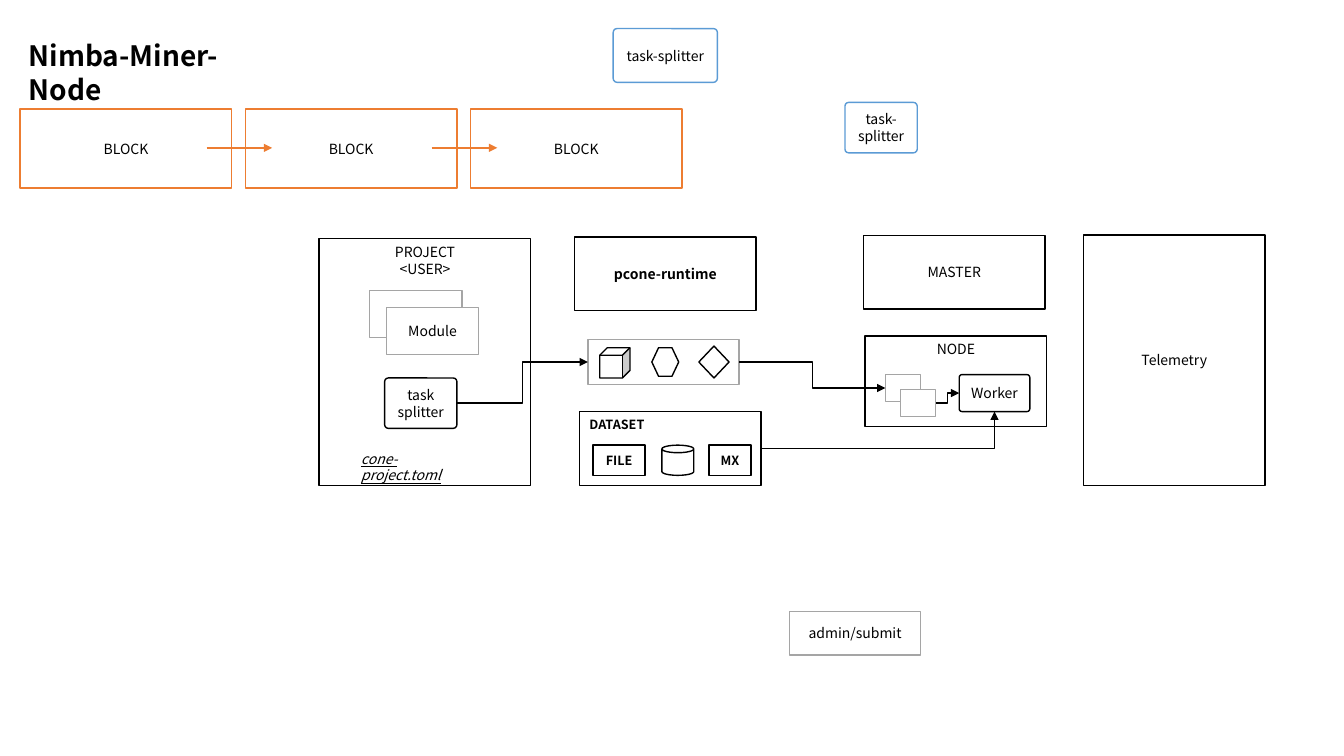
from lxml.etree import SubElement
from pptx import Presentation
from pptx.dml.color import RGBColor
from pptx.enum.shapes import MSO_CONNECTOR as LINK, MSO_SHAPE as FORM
from pptx.enum.text import MSO_ANCHOR, MSO_AUTO_SIZE, PP_ALIGN
from pptx.oxml.ns import qn
from pptx.util import Inches, Pt

WIDE, HIGH = Inches(13.333), Inches(7.5)
COLS, ROWS = 800, 450
BLACK = RGBColor(0x00, 0x00, 0x00)
WHITE = RGBColor(0xFF, 0xFF, 0xFF)
GRAY = RGBColor(0xA5, 0xA5, 0xA5)
BLUE = RGBColor(0x5B, 0x9B, 0xD5)
AMBER = RGBColor(0xED, 0x7D, 0x31)
FACE = "Noto Sans CJK SC"
TOP, LEFT, RIGHT = 0, 1, 3
PLAIN = {"size": Pt(10)}
BOLD = {"size": Pt(10), "bold": True}
SMALL = {"size": Pt(9), "bold": True}
TITLE = {"size": Pt(20), "bold": True}
LINKED = {"size": Pt(10), "italic": True, "underline": True}


def scale(col, row):
    """Turn a column and a row of the slide grid into lengths."""
    return round(WIDE * col / COLS), round(HIGH * row / ROWS)


def area(col, row, cols, rows):
    return scale(col, row) + scale(cols, rows)


def write(shape, text, look=PLAIN, align=PP_ALIGN.CENTER,
          anchor=MSO_ANCHOR.MIDDLE):
    frame = shape.text_frame
    frame.text = text
    frame.word_wrap = True
    frame.auto_size = MSO_AUTO_SIZE.NONE
    frame.vertical_anchor = anchor
    for para in frame.paragraphs:
        para.alignment = align
        for name, value in {"name": FACE, **look}.items():
            setattr(para.font, name, value)
        para.font.color.rgb = BLACK


def box(host, place, text="", edge=BLACK, form=FORM.RECTANGLE, **style):
    shape = host.add_shape(form, *area(*place))
    shape.shadow.inherit = False
    shape.fill.solid()
    shape.fill.fore_color.rgb = WHITE
    shape.line.color.rgb = edge
    shape.line.width = Pt(1)
    if form == FORM.ROUNDED_RECTANGLE:
        shape.adjustments[0] = 0.073
    if text:
        write(shape, text, **style)
    return shape


def pill(host, place, text, edge=BLACK):
    return box(host, place, text, edge, FORM.ROUNDED_RECTANGLE)


def arrow(host, kind, start, end, color):
    line = host.add_connector(kind, *start, *end)
    line.line.color.rgb = color
    line.line.width = Pt(1)
    SubElement(line.line._get_or_add_ln(), qn("a:tailEnd"), type="triangle")
    SubElement(line._element.spPr, qn("a:effectLst"))
    return line


def join(host, source, target, side=LEFT):
    """Run a bent arrow from the right side of one box to another box."""
    line = arrow(host, LINK.ELBOW, (0, 0), (0, 0), BLACK)
    line.begin_connect(source, RIGHT)
    line.end_connect(target, side)
    if side == TOP + 2:
        line._element.spPr.find(qn("a:prstGeom")).set("prst", "bentConnector2")


def draw_head(slide):
    title = slide.shapes.title
    title.left, title.top, title.width, title.height = area(11, 20, 140, 45)
    write(title, "Nimba-Miner-Node", TITLE, PP_ALIGN.LEFT, MSO_ANCHOR.TOP)


def draw_chain(host):
    lefts = [12 + 134 * i for i in range(3)]
    for left in lefts:
        box(host, (left, 65, 126, 47), "BLOCK", AMBER)
    for left in lefts[:-1]:
        arrow(host, LINK.STRAIGHT, scale(left + 111, 88),
              scale(left + 150, 88), AMBER)


def draw_project(host):
    box(host, (190, 142, 126, 147), "PROJECT\n<USER>",
        anchor=MSO_ANCHOR.TOP)
    for step, text in enumerate(("", "Module")):
        box(host, (220 + 10 * step, 173 + 10 * step, 55, 28), text, GRAY)
    note = host.add_textbox(*area(209, 265, 66, 22))
    write(note, "cone-project.toml", LINKED, PP_ALIGN.LEFT, MSO_ANCHOR.TOP)
    return pill(host, (229, 225, 43, 30), "task\nsplitter")


def draw_node(host):
    box(host, (515, 200, 108, 54), "NODE", anchor=MSO_ANCHOR.TOP)
    worker = pill(host, (571, 223, 42, 22), "Worker")
    first, last = [box(host, (527 + 9 * i, 223 + 9 * i, 21, 16), edge=GRAY)
                   for i in range(2)]
    join(host, last, worker)
    return first, worker


def draw_data(host):
    group = host.add_group_shape().shapes
    data = box(group, (345, 245, 108, 44), "DATASET", look=SMALL,
               align=PP_ALIGN.LEFT, anchor=MSO_ANCHOR.TOP)
    for left, cols, text in ((353, 31, "FILE"), (422, 25, "MX")):
        box(group, (left, 265, cols, 18), text, look=SMALL)
    box(group, (394, 265, 19, 18), form=FORM.CAN)
    return data


def draw_tray(host):
    group = host.add_group_shape().shapes
    tray = box(group, (350, 202, 90, 27), edge=GRAY)
    for form, place in ((FORM.CUBE, (357, 207, 18, 18)),
                        (FORM.HEXAGON, (388, 207, 16, 17)),
                        (FORM.DIAMOND, (416, 206, 18, 19))):
        box(group, place, form=form)
    return tray


def main():
    deck = Presentation()
    deck.slide_width, deck.slide_height = WIDE, HIGH
    slide = deck.slides.add_slide(deck.slide_layouts[5])
    host = slide.shapes
    draw_head(slide)
    draw_chain(host)
    for place in ((365, 17, 62, 32), (503, 61, 43, 30)):
        pill(host, place, "task-splitter", BLUE)
    task = draw_project(host)
    box(host, (342, 141, 108, 44), "pcone-runtime", look=BOLD)
    box(host, (514, 140, 108, 44), "MASTER")
    box(host, (645, 140, 108, 149), "Telemetry")
    box(host, (470, 364, 78, 26), "admin/submit", GRAY)
    tray = draw_tray(host)
    data = draw_data(host)
    stub, worker = draw_node(host)
    join(host, task, tray)
    join(host, tray, stub)
    join(host, data, worker, TOP + 2)
    deck.save("out.pptx")


if __name__ == "__main__":
    main()
